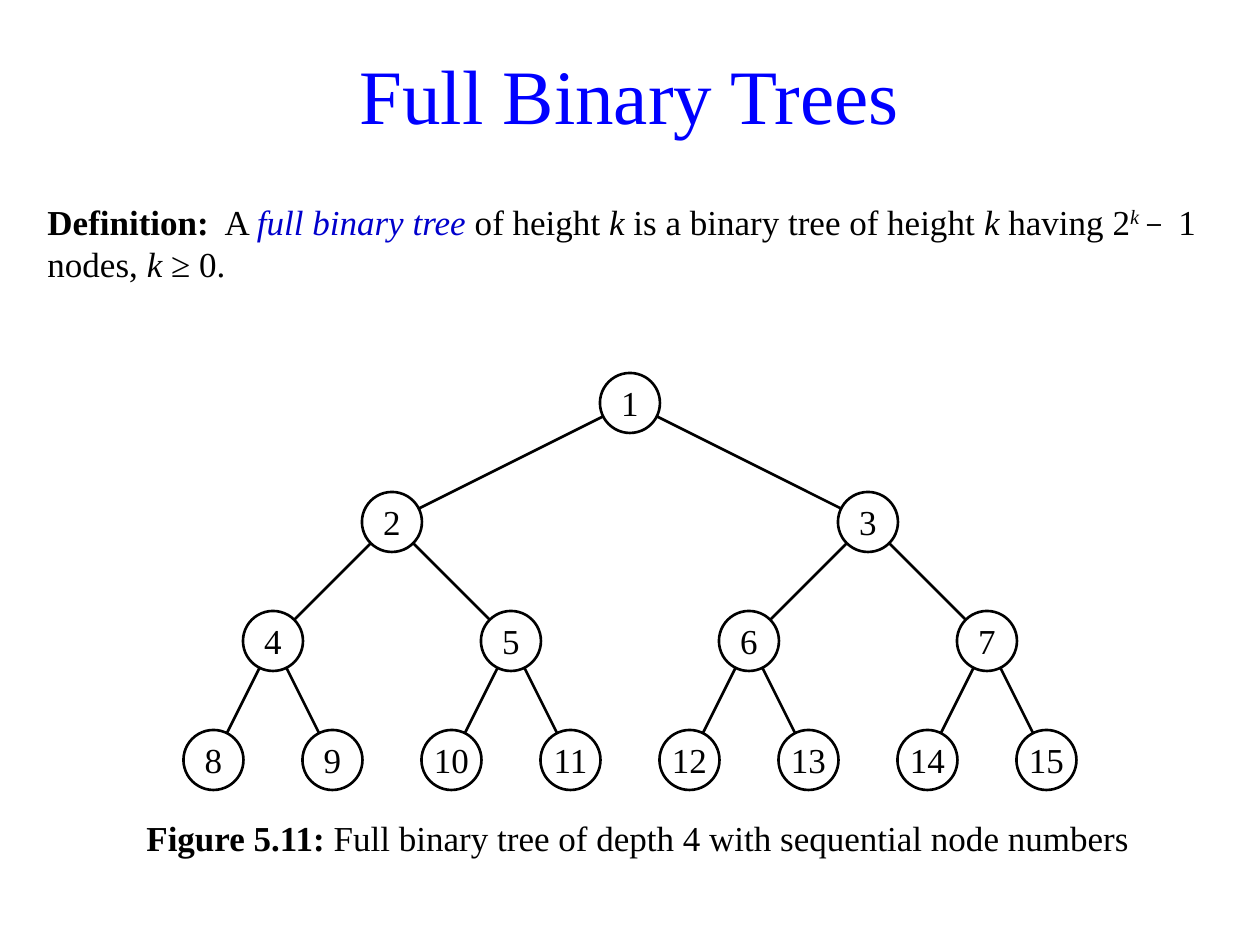
from pptx import Presentation
from pptx.dml.color import RGBColor
from pptx.enum.shapes import MSO_CONNECTOR, MSO_SHAPE
from pptx.enum.text import MSO_ANCHOR, PP_ALIGN
from pptx.util import Emu, Pt

STRAIGHT = MSO_CONNECTOR.STRAIGHT
ELLIPSE = MSO_SHAPE.OVAL
TOP, MIDDLE, BOTTOM = MSO_ANCHOR.TOP, MSO_ANCHOR.MIDDLE, MSO_ANCHOR.BOTTOM
LEFT, CENTER = PP_ALIGN.LEFT, PP_ALIGN.CENTER

PX_PER_INCH = 126
FONT = "Times New Roman"
MATH_FONT = "Cambria"
COLORS = {"title": "0000FF", "term": "0000CC", "ink": "000000", "paper": "FFFFFF"}
LINE_WIDTH = Pt(1.5)
LEVELS = 4
NODE_SIZE = 60

DEFINITION = [
    ("Definition:", {"bold": True}),
    ("  A ", {}),
    ("full binary tree", {"italic": True, "color": "term"}),
    (" of height ", {}),
    ("k", {"italic": True}),
    (" is a binary tree of height ", {}),
    ("k", {"italic": True}),
    (" having 2", {}),
    ("k ", {"italic": True, "baseline": 30000}),
    ("− ", {"font": MATH_FONT, "spacing": 200}),
    ("1 nodes, ", {}),
    ("k ", {"italic": True}),
    ("≥ 0.", {}),
]
CAPTION = [
    ("Figure 5.11:", {"bold": True}),
    (" Full binary tree of depth 4 with sequential node numbers", {}),
]


def px(length):
    return Emu(round(length * 914400 / PX_PER_INCH))


def rgb(name):
    return RGBColor.from_string(COLORS[name])


def add_run(paragraph, text, size=20, color="ink", font=FONT, bold=False,
            italic=False, baseline=0, spacing=0):
    """Baseline is in thousandths of a percent, spacing in hundredths of a point."""
    run = paragraph.add_run()
    run.text = text
    run.font.name = font
    run.font.size = Pt(size)
    run.font.bold = bold
    run.font.italic = italic
    run.font.color.rgb = rgb(color)
    properties = run._r.get_or_add_rPr()
    if baseline:
        properties.set("baseline", str(baseline))
    if spacing:
        properties.set("spc", str(spacing))


def add_text(slide, box, runs, align=LEFT, anchor=TOP, space_before=4):
    frame = slide.shapes.add_textbox(*map(px, box)).text_frame
    frame.word_wrap = True
    frame.vertical_anchor = anchor
    paragraph = frame.paragraphs[0]
    paragraph.alignment = align
    paragraph.space_before = Pt(space_before)
    for text, style in runs:
        add_run(paragraph, text, **style)


def add_edge(slide, start, end):
    edge = slide.shapes.add_connector(STRAIGHT, *map(px, start + end))
    edge.line.color.rgb = rgb("ink")
    edge.line.width = LINE_WIDTH
    properties = edge._element.spPr
    properties.append(properties.makeelement(
        "{http://schemas.openxmlformats.org/drawingml/2006/main}effectLst", {}))


def add_node(slide, center, number):
    x, y = center
    box = (x - NODE_SIZE / 2, y - NODE_SIZE / 2, NODE_SIZE, NODE_SIZE)
    node = slide.shapes.add_shape(ELLIPSE, *map(px, box))
    node.shadow.inherit = False
    node.fill.solid()
    node.fill.fore_color.rgb = rgb("paper")
    node.line.color.rgb = rgb("ink")
    node.line.width = LINE_WIDTH
    frame = node.text_frame
    frame.word_wrap = True
    frame.vertical_anchor = BOTTOM
    frame.margin_left = frame.margin_right = frame.margin_top = 0
    frame.margin_bottom = px(1)
    paragraph = frame.paragraphs[0]
    paragraph.alignment = CENTER
    add_run(paragraph, str(number))


def add_tree(slide, box):
    """Each level splits the box width evenly; node n has parent n // 2."""
    left, top, width, height = box
    level_gap = (height - NODE_SIZE) / (LEVELS - 1)
    centers = {}
    for level in range(LEVELS):
        count = 2 ** level
        for index in range(count):
            centers[count + index] = (
                left + (index + 0.5) * width / count,
                top + NODE_SIZE / 2 + level * level_gap,
            )
    for number in range(2, 2 ** LEVELS):
        add_edge(slide, centers[number // 2], centers[number])
    for number, center in centers.items():
        add_node(slide, center, number)


def main():
    presentation = Presentation()
    presentation.slide_width = px(1260)
    presentation.slide_height = px(945)
    slide = presentation.slides.add_slide(presentation.slide_layouts[6])
    title = [("Full Binary Trees", {"size": 44, "color": "title"})]
    add_text(slide, (34, 35, 1191, 118), title, CENTER, MIDDLE, space_before=0)
    add_text(slide, (35, 194, 1191, 118), DEFINITION)
    add_text(slide, (134, 810, 1012, 59), CAPTION)
    add_tree(slide, (154, 373, 952, 417))
    presentation.save("out.pptx")


if __name__ == "__main__":
    main()
